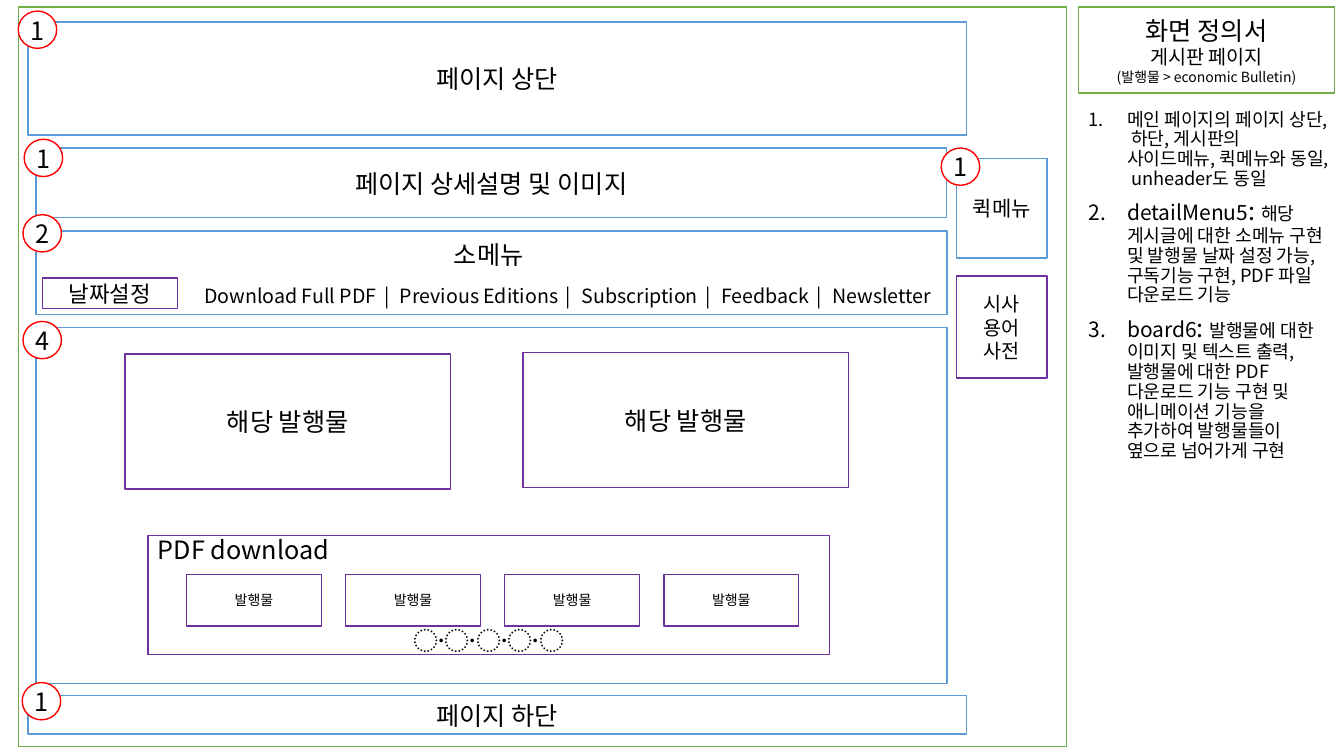
from lxml import etree
from pptx import Presentation
from pptx import util as u
from pptx.dml.color import RGBColor
from pptx.enum import shapes, text
from pptx.oxml import ns

COLORS = {"frame": "70AD47", "section": "5B9BD5", "item": "7030A0",
          "badge": "FF0000", "paper": "FFFFFF", "ink": "000000"}
FONT = "Noto Sans CJK KR"
MENU = ["Download Full PDF", "Previous Editions", "Subscription", "Feedback", "Newsletter"]
NOTES = [
    [("메인 페이지의 페이지 상단, 하단, 게시판의 사이드메뉴, 퀵메뉴와 동일, unheader도 동일", 13)],
    [("detailMenu5", 15), (": ", 18),
     ("해당 게시글에 대한 소메뉴 구현 및 발행물 날짜 설정 가능, 구독기능 구현, PDF 파일 다운로드 기능", 13)],
    [("board6", 15), (": ", 18),
     ("발행물에 대한 이미지 및 텍스트 출력, 발행물에 대한 PDF다운로드 기능 구현 및 "
      "애니메이션 기능을 추가하여 발행물들이 옆으로 넘어가게 구현", 13)],
]


def color(name):
    """Return the named colour."""
    return RGBColor.from_string(COLORS[name])


def outline(shape, line):
    """Give a shape the paper fill and a thin coloured outline."""
    shape.fill.solid()
    shape.fill.fore_color.rgb = color("paper")
    shape.line.color.rgb = color(line)
    shape.line.width = u.Pt(1)


def place(shape, left, top, width, height):
    """Move and size a shape, in centimetres."""
    shape.left, shape.top = u.Cm(left), u.Cm(top)
    shape.width, shape.height = u.Cm(width), u.Cm(height)


def add_span(para, words, size):
    """Append a formatted run to a paragraph and return it."""
    span = para.add_run()
    span.text = words
    span.font.size = u.Pt(size)
    span.font.name = FONT
    span.font.bold = False
    span.font.color.rgb = color("ink")
    etree.SubElement(span.font._element, ns.qn("a:ea"), typeface=FONT)
    return span


def add_para(frame, words, size, align=text.PP_ALIGN.CENTER, before=0):
    """Fill the first empty paragraph or append a new one."""
    para = frame.paragraphs[0] if not frame.text else frame.add_paragraph()
    para.alignment = align
    para.space_before = u.Pt(before)
    para.line_spacing = u.Pt(round(size * 1.22))
    if words:
        add_span(para, words, size)
    return para


def add_box(page, line, left, top, width, height, words="", size=18,
            kind=shapes.MSO_SHAPE.RECTANGLE):
    """Draw an outlined shape with centred text and return it."""
    box = page.shapes.add_shape(kind, u.Cm(left), u.Cm(top), u.Cm(width), u.Cm(height))
    box.shadow.inherit = False
    outline(box, line)
    frame = box.text_frame
    frame.word_wrap = True
    frame.vertical_anchor = text.MSO_ANCHOR.MIDDLE
    if words:
        add_para(frame, words, size)
    return box


def add_badge(page, number, left, top):
    """Draw a numbered red circle."""
    badge = add_box(page, "badge", left, top, 0.97, 0.94, number,
                    kind=shapes.MSO_SHAPE.FLOWCHART_CONNECTOR)
    frame = badge.text_frame
    frame.margin_left = frame.margin_right = frame.margin_top = frame.margin_bottom = 0


def add_section(page, number, words, left, top, width, height, shift, rise):
    """Draw a section with a badge offset from its top left corner."""
    box = add_box(page, "section", left, top, width, height, words)
    add_badge(page, number, left + shift, top + rise)
    return box


def add_submenu(page, left, top, width, height):
    """Draw the submenu with its links and the date button."""
    frame = add_section(page, "2", "소메뉴", left, top, width, height, -0.33, -0.41).text_frame
    frame.margin_right = u.Cm(0.4)
    links = add_para(frame, "", 14, text.PP_ALIGN.RIGHT, 10)
    for index, name in enumerate(MENU):
        if index:
            divider = add_span(links, " | ", 14)
            divider.font._element.set("spc", "210")
        add_span(links, name, 14)
    add_box(page, "item", left + 0.16, top + 1.19, 3.4, 0.76, "날짜설정", 16)


def add_downloads(page, left, top, width, height):
    """Draw the download strip with its four issues and pager."""
    frame = add_box(page, "item", left, top, width, height).text_frame
    add_para(frame, "PDF download", 18, text.PP_ALIGN.LEFT)
    add_para(frame, "〮〮〮〮", 18, before=43)
    for column in range(4):
        add_box(page, "item", left + 0.97 + 4.01 * column, top + 0.99, 3.4, 1.3, "발행물", 10)


def add_board(page, left, top, width, height):
    """Draw the board with two issues and the download strip."""
    add_section(page, "4", "", left, top, width, height, -0.33, -0.16)
    for shift, drop in ((2.24, 0.66), (12.27, 0.63)):
        add_box(page, "item", left + shift, top + drop, 8.2, 3.4, "해당 발행물")
    add_downloads(page, left + 2.82, top + 5.23, 17.17, 3)


def add_quick_menu(page, left, top, width):
    """Draw the quick menu and the glossary button below it."""
    add_section(page, "1", "", left, top, width, 2.51, -0.38, -0.26)
    quick = page.shapes[-2]
    add_para(quick.text_frame, "퀵메뉴", 15)
    add_box(page, "item", left, top + 2.97, width, 2.57, "시사 용어 사전", 14)


def add_heading(page, left, top, width, height):
    """Set the document heading in the title placeholder."""
    title = page.shapes.title
    place(title, left, top, width, height)
    outline(title, "frame")
    frame = title.text_frame
    frame.word_wrap = True
    frame.auto_size = text.MSO_AUTO_SIZE.NONE
    frame.vertical_anchor = text.MSO_ANCHOR.MIDDLE
    for words, size in (("화면 정의서", 18), ("게시판 페이지", 14),
                        ("(발행물 > economic Bulletin)", 10)):
        add_para(frame, words, size)


def add_notes(page, left, top, width, height):
    """Set the numbered notes in the body placeholder."""
    body = page.placeholders[1]
    place(body, left, top, width, height)
    frame = body.text_frame
    frame.word_wrap = True
    frame.auto_size = text.MSO_AUTO_SIZE.NONE
    for index, parts in enumerate(NOTES):
        para = add_para(frame, "", 13, text.PP_ALIGN.LEFT, 12 if index else 0)
        para.line_spacing = u.Pt(14.2)
        props = para._p.get_or_add_pPr()
        props.set("marL", str(u.Cm(0.97)))
        props.set("indent", str(u.Cm(-0.97)))
        etree.SubElement(props, ns.qn("a:buFont"), typeface="+mj-lt")
        etree.SubElement(props, ns.qn("a:buAutoNum"), type="arabicPeriod")
        for words, size in parts:
            add_span(para, words, size)


def main():
    """Build the screen definition slide."""
    deck = Presentation()
    deck.slide_width, deck.slide_height = u.Cm(33.87), u.Cm(19.05)
    page = deck.slides.add_slide(deck.slide_layouts[1])
    add_heading(page, 27.18, 0.18, 6.45, 2.16)
    add_notes(page, 27.18, 2.64, 6.45, 15.82)
    add_box(page, "frame", 0.46, 0.18, 26.42, 18.64)
    add_section(page, "1", "페이지 상단", 0.71, 0.56, 23.65, 2.84, -0.25, -0.28)
    add_section(page, "1", "페이지 상세설명 및 이미지", 0.91, 3.73, 22.94, 1.75, -0.3, -0.22)
    add_submenu(page, 0.91, 5.82, 22.96, 2.11)
    add_board(page, 0.91, 8.26, 22.96, 8.97)
    add_section(page, "1", "페이지 하단", 0.71, 17.53, 23.65, 0.97, -0.15, -0.33)
    add_quick_menu(page, 24.1, 3.99, 2.29)
    deck.save("out.pptx")


if __name__ == "__main__":
    main()
